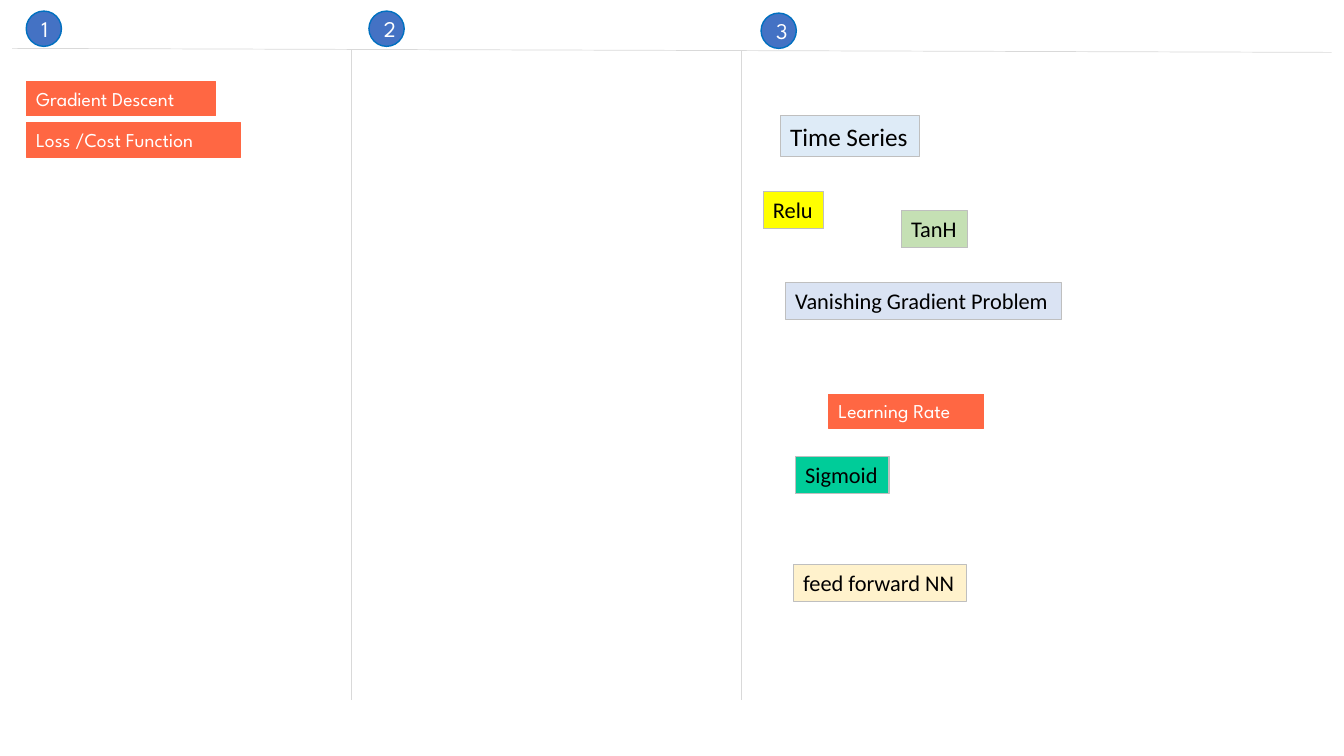
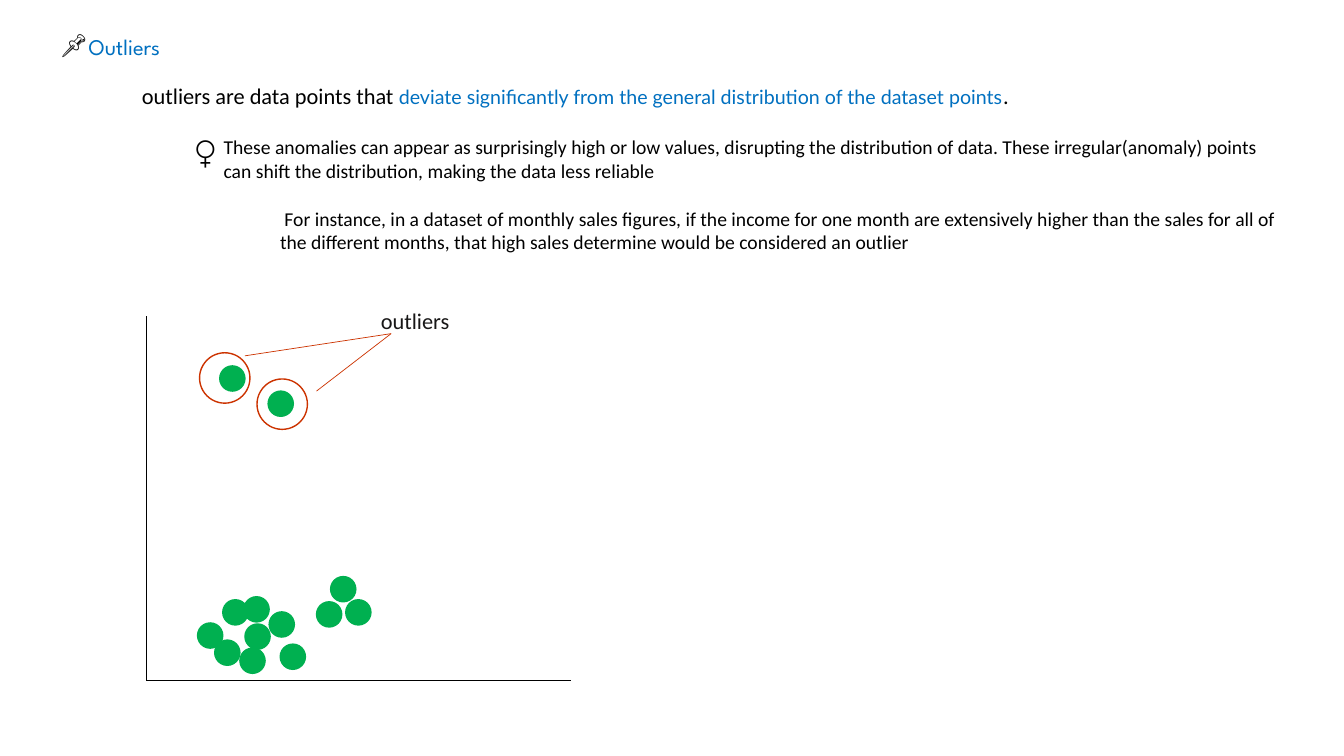
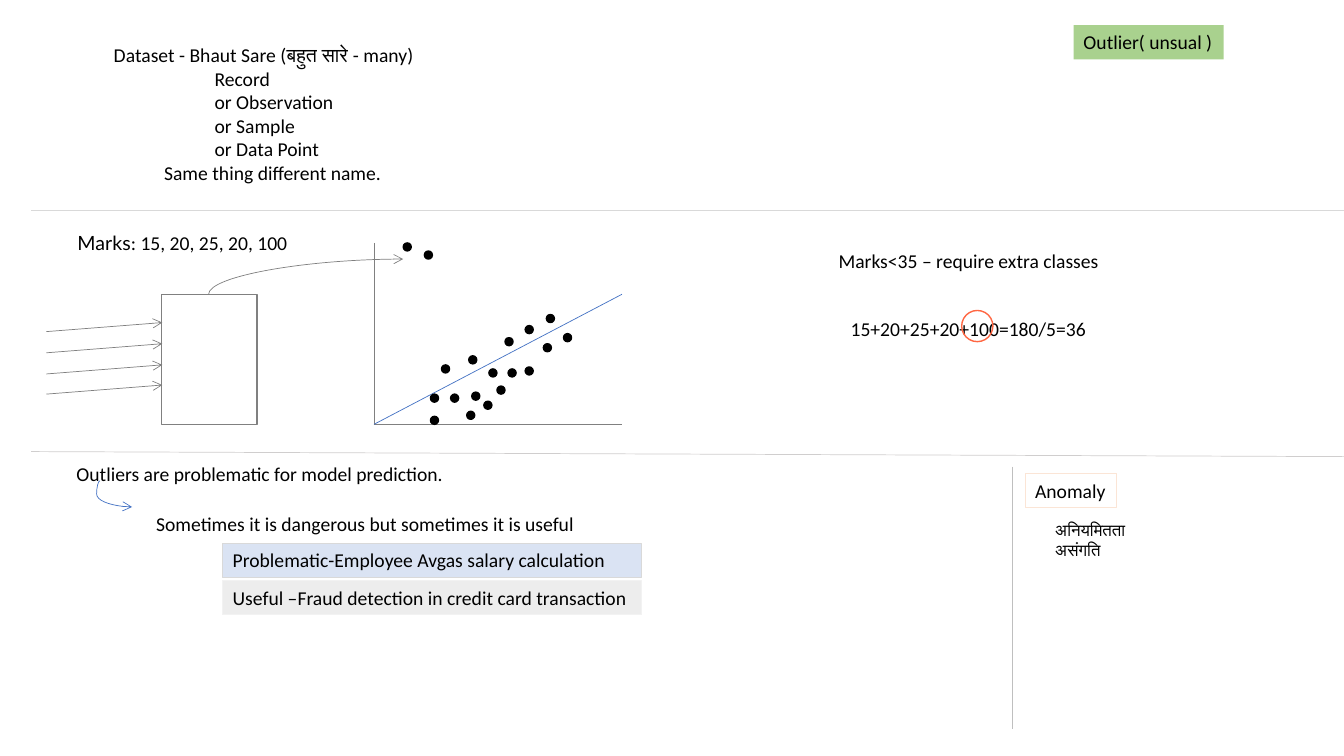
from dataclasses import dataclass

from lxml import etree
from pptx import Presentation
from pptx import util as u
from pptx.dml.color import RGBColor
from pptx.enum import shapes, text
from pptx.oxml.ns import qn

COLUMNS, ROWS = 133.33, 75  # square grid cells, ten to the inch
CELL = u.Inches(0.1)
OVAL = shapes.MSO_SHAPE.FLOWCHART_CONNECTOR
RECTANGLE = shapes.MSO_SHAPE.RECTANGLE


@dataclass(frozen=True)
class Theme:
    body_font: str = "Calibri"
    accent_font: str = "Lato"
    heading_font: str = "League Spartan"
    tiny: int = 12
    small: int = 14
    medium: int = 16
    large: int = 18
    symbol: int = 20
    hairline: float = 0.5
    border: float = 0.75
    outline: float = 1
    black: str = "000000"
    white: str = "FFFFFF"
    ink: str = "181717"
    blue: str = "0070C0"
    badge: str = "4472C4"
    orange: str = "FF6743"
    peach: str = "FBE5D6"
    red: str = "CC3300"
    green: str = "00B050"
    leaf: str = "A9D18E"
    pale_green: str = "C5E0B4"
    teal: str = "00CC99"
    yellow: str = "FFFF00"
    cream: str = "FFF2CC"
    sky: str = "DEEBF7"
    pale_blue: str = "DAE3F3"
    mist: str = "EDEDED"
    cloud: str = "F2F2F2"
    rule: str = "D9D9D9"
    warm_rule: str = "D0CECE"
    silver: str = "BFBFBF"
    gray: str = "808080"


THEME = Theme()


def cells(*lengths):
    return [round(length * CELL) for length in lengths]


def write(frame, paragraphs, size=THEME.small, font=THEME.body_font, color=THEME.black,
          wrap=False, grow=True, levels=(), align=text.PP_ALIGN.LEFT,
          anchor=text.MSO_ANCHOR.TOP):
    """Fill a frame; a paragraph is a string or a list of (string, format) spans."""
    frame.word_wrap = wrap
    frame.auto_size = text.MSO_AUTO_SIZE.SHAPE_TO_FIT_TEXT if grow else text.MSO_AUTO_SIZE.NONE
    frame.vertical_anchor = anchor
    if isinstance(paragraphs, str):
        paragraphs = [paragraphs]
    for index, content in enumerate(paragraphs):
        para = frame.paragraphs[0] if index == 0 else frame.add_paragraph()
        para.alignment = align
        if levels and levels[index]:
            para.level = levels[index]
            para._p.get_or_add_pPr().set("marL", str(u.Inches(levels[index] / 2)))
        for words, style in [(content, {})] if isinstance(content, str) else content:
            span = para.add_run()
            span.text = words
            span.font.size = u.Pt(style.get("size", size))
            span.font.name = style.get("font", font)
            span.font.color.rgb = RGBColor.from_string(style.get("color", color))


class Board:
    """Holds the deck and the slide being drawn; all lengths are grid cells."""

    def __init__(self):
        self.deck = Presentation()
        self.deck.slide_width, self.deck.slide_height = cells(COLUMNS, ROWS)
        self.page = None

    def start(self, title=None, place=None):
        layout = self.deck.slide_layouts.get_by_name("Title Only" if title else "Blank")
        self.page = self.deck.slides.add_slide(layout)
        if title:
            box = self.page.shapes.title
            box.left, box.top, box.width, box.height = cells(*place)
            write(box.text_frame, title, size=THEME.medium, font=THEME.heading_font,
                  color=THEME.blue)

    def label(self, place, words, **style):
        box = self.page.shapes.add_textbox(*cells(*place))
        write(box.text_frame, words, **style)

    def figure(self, kind, place, fill=None, line=None, weight=THEME.outline):
        shape = self.page.shapes.add_shape(kind, *cells(*place))
        shape.shadow.inherit = False
        if fill:
            shape.fill.solid()
            shape.fill.fore_color.rgb = RGBColor.from_string(fill)
        else:
            shape.fill.background()
        if line:
            shape.line.color.rgb = RGBColor.from_string(line)
            shape.line.width = u.Pt(weight)
        else:
            shape.line.fill.background()
        return shape

    def tag(self, place, words, fill=None, line=None, **style):
        shape = self.figure(RECTANGLE, place, fill, line, THEME.border)
        write(shape.text_frame, words, **style)

    def topic(self, place, words):
        self.tag(place, words, THEME.orange, THEME.orange,
                 font=THEME.heading_font, color=THEME.white)

    def badge(self, left, top, number):
        shape = self.figure(OVAL, (left, top, 3.5, 3.5), THEME.badge, THEME.blue)
        write(shape.text_frame, str(number), size=THEME.medium, font=THEME.heading_font,
              color=THEME.white, wrap=True, grow=False,
              align=text.PP_ALIGN.CENTER, anchor=text.MSO_ANCHOR.MIDDLE)

    def dots(self, corners, size, color):
        for left, top in corners:
            self.figure(OVAL, (left, top, size, size), color, color)

    def ring(self, left, top, size, color):
        self.figure(OVAL, (left, top, size, size), line=color)

    def line(self, start, end, color, arrow=None, kind=shapes.MSO_CONNECTOR.STRAIGHT):
        """Draw a thin line; arrow is "headEnd" (at start) or "tailEnd" (at end)."""
        link = self.page.shapes.add_connector(kind, *cells(*start, *end))
        link.line.color.rgb = RGBColor.from_string(color)
        link.line.width = u.Pt(THEME.hairline)
        properties = link._element.spPr
        if arrow:
            etree.SubElement(properties.find(qn("a:ln")), qn(f"a:{arrow}"), type="arrow")
        etree.SubElement(properties, qn("a:effectLst"))
        return link

    def curve(self, start, end, color, arrow, preset, bend=None):
        link = self.line(start, end, color, arrow, shapes.MSO_CONNECTOR.CURVE)
        geometry = link._element.spPr.find(qn("a:prstGeom"))
        geometry.set("prst", preset)
        if bend is not None:
            guides = geometry.find(qn("a:avLst"))
            if guides is None:
                guides = etree.SubElement(geometry, qn("a:avLst"))
            etree.SubElement(guides, qn("a:gd"), name="adj1", fmla=f"val {round(bend * 100000)}")

    def axes(self, left, top, right, bottom, color):
        self.line((left, top), (left, bottom), color)
        self.line((left, bottom), (right, bottom), color)


def draw_topics(board):
    board.start()
    for place, words, fill, size in (
        ((78.7, 56, 17.2, 3.7), "feed forward NN", THEME.cream, THEME.medium),
        ((77.9, 28, 27.4, 3.7), "Vanishing Gradient Problem", THEME.pale_blue, THEME.medium),
        ((77.4, 11.5, 13.8, 4), "Time Series", THEME.sky, THEME.large),
        ((78.9, 45.3, 9.3, 3.7), "Sigmoid", THEME.teal, THEME.medium),
        ((89.4, 20.9, 6.6, 3.7), "TanH", THEME.pale_green, THEME.medium),
        ((75.7, 19, 6, 3.7), "Relu", THEME.yellow, THEME.medium),
    ):
        board.tag(place, words, fill, THEME.silver, size=size)
    board.topic((2.6, 12.2, 21.3, 3.4), "Loss /Cost Function")
    board.topic((82.2, 39.1, 15.4, 3.4), "Learning Rate")
    board.topic((2.6, 8.1, 18.8, 3.4), "Gradient Descent")
    board.line((1.2, 4.8), (132.1, 5.2), THEME.rule)
    for column in (73.5, 34.9):
        board.line((column, 5), (column, 69.4), THEME.rule)
    for number, (left, top) in enumerate(((2.6, 1.1), (36.6, 1.1), (75.5, 1.3)), 1):
        board.badge(left, top, number)


def draw_outliers(board):
    board.start("Outliers", (7.8, 2.8, 10.6, 3.7))
    board.label((5.1, 2.3, 4.6, 4), "📌", size=THEME.large)
    board.label((13.1, 7.7, 111.8, 3.7), [[
        ("outliers are data points that ", {}),
        ("deviate significantly from the general distribution of the dataset points",
         {"size": THEME.small, "font": THEME.accent_font, "color": THEME.blue}),
        (".", {}),
    ]], size=THEME.medium, wrap=True)
    board.label((26.8, 20, 103, 5.7),
                " For instance, in a dataset of monthly sales figures, if the income for one "
                "month are extensively higher than the sales for all of the different months, "
                "that high sales determine would be considered an outlier", wrap=True)
    board.label((21.2, 12.9, 106.6, 5.7),
                "These anomalies can appear as surprisingly high or low values, disrupting the "
                "distribution of data. These irregular(anomaly) points can shift the "
                "distribution, making the data less reliable", wrap=True)
    board.label((18.4, 12.9, 4.1, 4.4), "♀", size=THEME.symbol)

    board.axes(14.5, 31.4, 56.6, 67.5, THEME.black)
    cluster = [(19.6, 61.8), (21.3, 63.5), (24.3, 61.9), (24.2, 59.2), (26.7, 60.7),
               (22.1, 59.5), (23.8, 64.3), (27.8, 63.9), (34.3, 59.5), (32.8, 57.2),
               (31.4, 59.7)]
    outliers = [(26.6, 38.8), (21.8, 36.3)]
    board.dots(cluster + outliers, 2.5, THEME.green)
    for start in ((24.3, 35.3), (31.4, 38.8)):
        board.line(start, (38.8, 33.1), THEME.red)
    board.ring(19.8, 35, 5, THEME.red)
    board.ring(25.5, 37.6, 5, THEME.red)
    board.label((36.8, 30, 8.9, 3.7), "outliers", size=THEME.medium, color=THEME.ink)


def draw_dataset(board):
    board.start()
    board.label((10.3, 3.8, 57.4, 15.1),
                ["Dataset - Bhaut Sare (बहुत सारे - many)", "Record", "or Observation",
                 "or Sample", "or Data Point", "Same thing different name."],
                levels=(0, 2, 2, 2, 2, 1), wrap=True)
    board.label((6.7, 22.4, 23.2, 3.4),
                [[("Marks", {"font": THEME.accent_font}), (": 15, 20, 25, 20, 100", {})]])
    board.line((3.1, 20.9), (COLUMNS, 20.9), THEME.rule)

    board.figure(RECTANGLE, (16, 29.2, 9.5, 12.9), line=THEME.gray)
    for row in (32.9, 35, 37.1, 39.1):
        board.line((4.6, row), (16.1, row - 0.9), THEME.gray, "tailEnd")
    board.axes(37.1, 24.1, 61.7, 42.1, THEME.gray)
    board.curve((40, 25.7), (20.7, 29.2), THEME.gray, "headEnd", "curvedConnector2")
    board.line((37.1, 42.1), (61.7, 29.2), THEME.badge)
    board.dots([(44.7, 39.1), (42.7, 39.1), (46.3, 40.8), (43.8, 36.2), (46.8, 38.9),
                (42.7, 41.3), (46.5, 35.3), (48.5, 36.6), (49.3, 38.3), (48, 39.8),
                (52.1, 36.4), (50.1, 33.5), (50.4, 36.6), (53.9, 34.1), (52.1, 32.3),
                (55.9, 33.1), (54.2, 31.2), (40, 24.1), (42.1, 24.9)], 0.8, THEME.black)

    board.tag((106.5, 2.5, 14.9, 3.4), "Outlier( unsual )", THEME.leaf)
    board.label((82.2, 24.2, 28.5, 3.4), "Marks<35 – require extra classes")
    board.label((83.4, 30.9, 25.7, 3.4), "15+20+25+20+100=180/5=36")
    board.ring(95.4, 30.8, 3.1, THEME.orange)

    board.label((6.6, 45.3, 38.7, 3.4), "Outliers are problematic for model prediction.")
    board.line((3.1, 44.8), (COLUMNS, 45.3), THEME.warm_rule)
    board.curve((9.9, 47.7), (13.1, 50.3), THEME.badge, "tailEnd", "curvedConnector3", -0.1)
    board.label((14.5, 50.3, 43.9, 3.4), "Sometimes it is dangerous but sometimes it is useful")
    board.tag((22.1, 53.9, 41.5, 3.4), "Problematic-Employee Avgas salary calculation",
              THEME.pale_blue, THEME.rule, wrap=True)
    board.tag((22.1, 57.6, 41.5, 3.4), "Useful –Fraud detection in credit card transaction",
              THEME.mist, THEME.cloud)
    board.line((100.4, 46.3), (100.4, 72.3), THEME.silver)
    board.tag((101.7, 47, 9.1, 3.4), "Anomaly", line=THEME.peach)
    board.label((103.7, 51.1, 14.1, 5), ["अनियमितता", "असंगति"], size=THEME.tiny, wrap=True)


def main():
    board = Board()
    draw_topics(board)
    draw_outliers(board)
    draw_dataset(board)
    board.deck.save("out.pptx")


if __name__ == "__main__":
    main()
